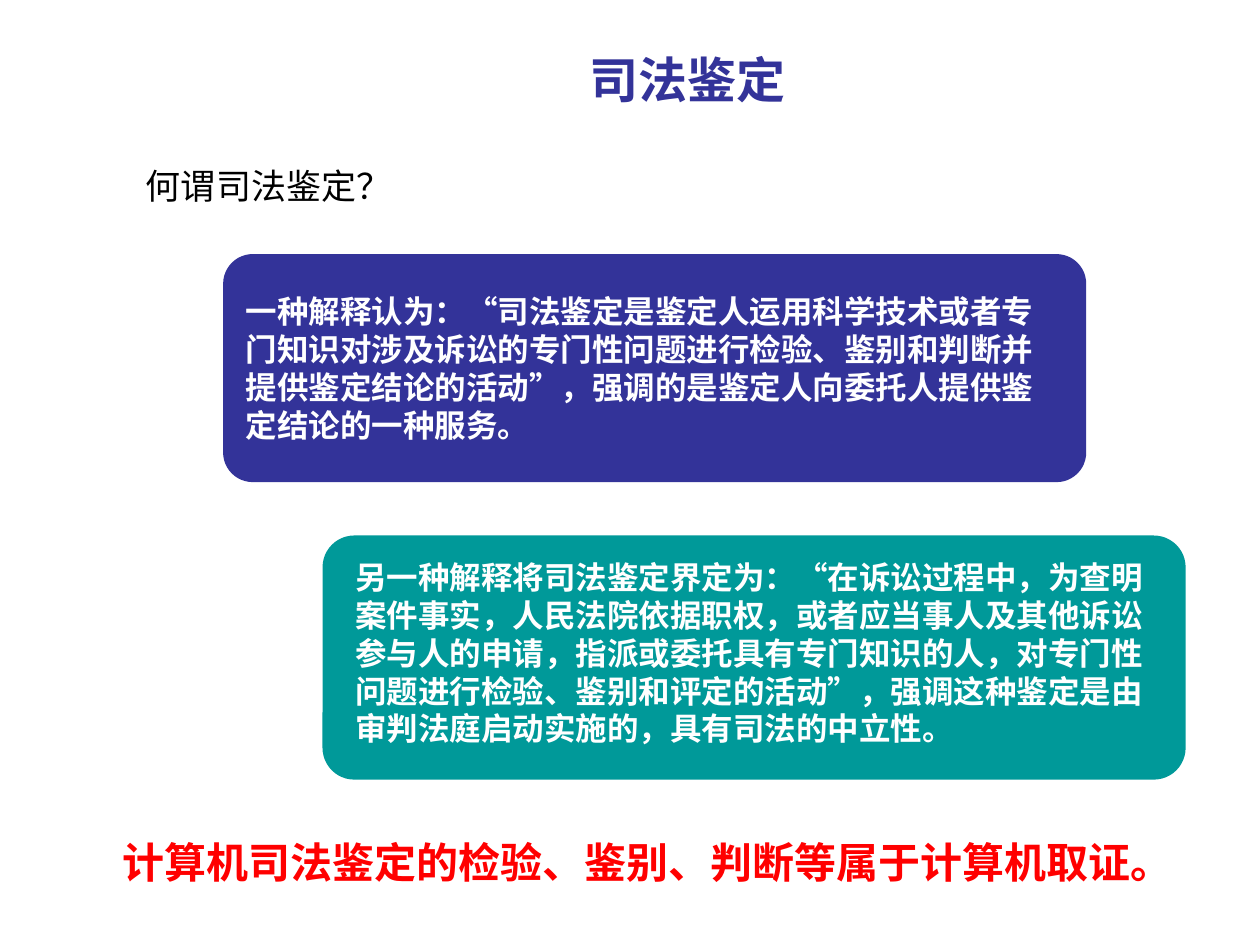
"""Build the slide that explains forensic appraisal."""
import dataclasses
import typing

import pptx
import pptx.dml.color
import pptx.enum.shapes
import pptx.enum.text
import pptx.oxml
import pptx.oxml.ns
import pptx.util
from lxml import etree

Pt = pptx.util.Pt
RGB = pptx.dml.color.RGBColor
Align = pptx.enum.text.PP_ALIGN
Anchor = pptx.enum.text.MSO_ANCHOR

NAVY = RGB(0x33, 0x33, 0x99)
TEAL = RGB(0x00, 0x99, 0x99)
WHITE = RGB(0xFF, 0xFF, 0xFF)
BLACK = RGB(0x00, 0x00, 0x00)
RED = RGB(0xFF, 0x00, 0x00)
TIMES = "Times New Roman"
NOTO = "Noto Sans CJK SC"
SHADE = (
    f'<a:effectLst {pptx.oxml.ns.nsdecls("a")}>'
    '<a:outerShdw dist="25400" dir="2700000" algn="tl" rotWithShape="0">'
    '<a:srgbClr val="C0C0C0"/></a:outerShdw></a:effectLst>'
)


@dataclasses.dataclass
class Area:
    left: float
    top: float
    width: float
    height: float

    def spans(self) -> list[pptx.util.Pt]:
        return [Pt(n) for n in (self.left, self.top, self.width, self.height)]


@dataclasses.dataclass
class Style:
    size: float
    color: RGB
    bold: bool = True
    face: str = TIMES
    align: Align = Align.LEFT
    lines: float = 1.0


@dataclasses.dataclass
class Card:
    area: Area
    fill: RGB


@dataclasses.dataclass
class Note:
    area: Area
    text: str
    style: Style


BODY = Style(18, WHITE)
CARDS = [
    Card(Area(127.5, 145.2, 493.2, 130.3), NAVY),
    Card(Area(184.3, 306, 493.2, 139.5), TEAL),
]
NOTES = [
    Note(Area(76.3, 80.6, 577.4, 37.4), "何谓司法鉴定？",
         Style(20, BLACK, False, NOTO, Align.JUSTIFY, 1.4)),
    Note(Area(133.2, 163.4, 481.7, 94.3),
         "一种解释认为：“司法鉴定是鉴定人运用科学技术或者专门知识对涉及诉讼的"
         "专门性问题进行检验、鉴别和判断并提供鉴定结论的活动”，强调的是鉴定人"
         "向委托人提供鉴定结论的一种服务。", BODY),
    Note(Area(195.8, 315.4, 481.7, 116.6),
         "另一种解释将司法鉴定界定为：“在诉讼过程中，为查明案件事实，人民法院"
         "依据职权，或者应当事人及其他诉讼参与人的申请，指派或委托具有专门知识"
         "的人，对专门性问题进行检验、鉴别和评定的活动”，强调这种鉴定是由审判"
         "法庭启动实施的，具有司法的中立性。", BODY),
    Note(Area(20.2, 463, 699.8, 48.2),
         "计算机司法鉴定的检验、鉴别、判断等属于计算机取证。",
         Style(24, RED, align=Align.CENTER, lines=1.4)),
]


def write(frame: typing.Any, text: str, style: Style) -> typing.Any:
    """Add one styled run and return it."""
    frame.word_wrap = True
    para = frame.paragraphs[0]
    para.alignment = style.align
    para.line_spacing = style.lines
    para.space_before = Pt(0)
    run = para.add_run()
    run.text = text
    font = run.font
    font.size = Pt(style.size)
    font.bold = style.bold
    font.color.rgb = style.color
    font.name = style.face
    props = run._r.get_or_add_rPr()
    props.set("lang", "zh-CN")
    east = etree.SubElement(props, pptx.oxml.ns.qn("a:ea"))
    east.set("typeface", NOTO)
    return run


def draw_card(slide: typing.Any, card: Card) -> None:
    """Draw a rounded panel."""
    kind = pptx.enum.shapes.MSO_SHAPE.ROUNDED_RECTANGLE
    shape = slide.shapes.add_shape(kind, *card.area.spans())
    shape.adjustments[0] = 0.13
    shape.shadow.inherit = False
    shape.fill.solid()
    shape.fill.fore_color.rgb = card.fill
    shape.line.fill.background()


def draw_note(slide: typing.Any, note: Note) -> None:
    """Draw a text box."""
    frame = slide.shapes.add_textbox(*note.area.spans()).text_frame
    write(frame, note.text, note.style)
    frame.auto_size = pptx.enum.text.MSO_AUTO_SIZE.SHAPE_TO_FIT_TEXT


def draw_title(slide: typing.Any, area: Area, text: str) -> None:
    """Fill the title and give its letters a shadow."""
    title = slide.shapes.title
    title.left, title.top, title.width, title.height = area.spans()
    title.text_frame.vertical_anchor = Anchor.MIDDLE
    run = write(title.text_frame, text, Style(28, NAVY, align=Align.CENTER))
    fill = run._r.rPr.find(pptx.oxml.ns.qn("a:solidFill"))
    fill.addnext(pptx.oxml.parse_xml(SHADE))


def main() -> None:
    """Build and save the deck."""
    deck = pptx.Presentation()
    deck.slide_width, deck.slide_height = Pt(720), Pt(540)
    slide = deck.slides.add_slide(deck.slide_layouts[5])
    draw_title(slide, Area(113.8, 18, 558, 54), "司法鉴定")
    for card in CARDS:
        draw_card(slide, card)
    for note in NOTES:
        draw_note(slide, note)
    deck.save("out.pptx")


if __name__ == "__main__":
    main()
